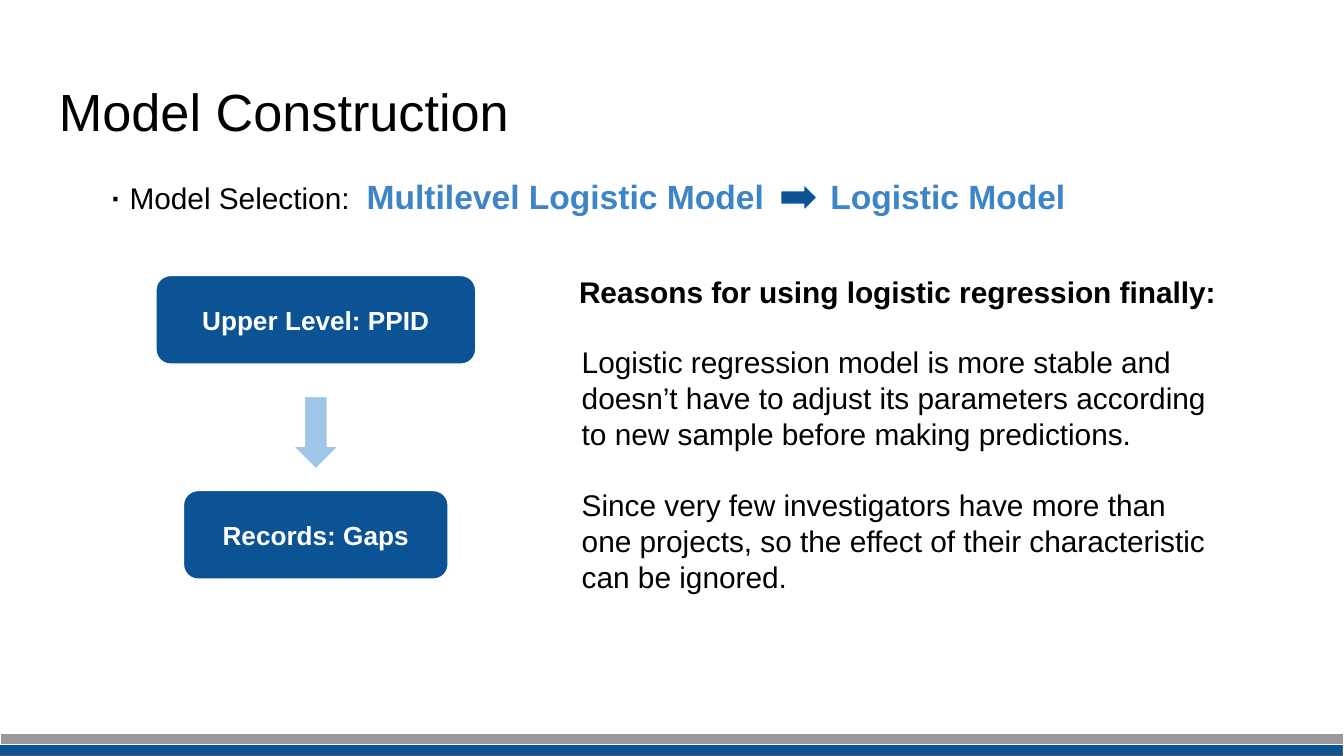
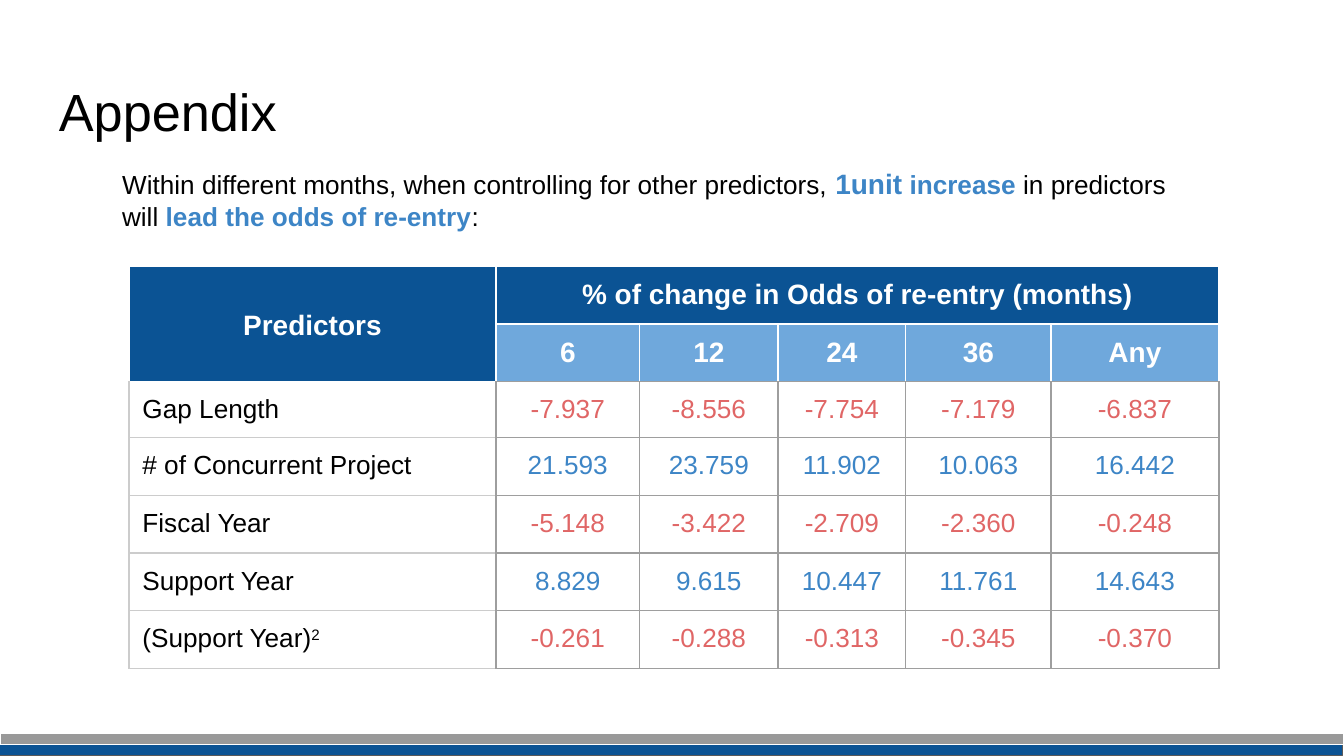
from lxml import etree
from pptx import Presentation
from pptx.dml.color import RGBColor
from pptx.enum.shapes import MSO_SHAPE as SHAPE
from pptx.enum.text import MSO_ANCHOR as ANCHOR, PP_ALIGN as ALIGN
from pptx.oxml.ns import qn
from pptx.util import Inches, Pt

FONT = "Arial"
BLACK, WHITE = "000000", "FFFFFF"
NAVY, BLUE, SKY, PALE = "0B5394", "3D85C6", "6FA8DC", "9FC5E8"
RED, DARK, GRAY, SILVER = "E06666", "595959", "9E9E9E", "CCCCCC"
INSET = 0.1
ACCENT = dict(color=BLUE, bold=True)

# Shared bands: left, top, fill, line
BANDS = [(-0.01, 5.54, NAVY, DARK), (0, 5.46, "999999", WHITE)]

# Model Construction; tabs align the two model names
SELECTION = [
    ("· ", dict(bold=True)),
    ("Model Selection:\t", {}),
    ("Multilevel Logistic Model\tLogistic Model", dict(size=18, **ACCENT)),
]
SELECTION_TABS = [1.9, 5.35]
LEVELS_CENTER = 2.35
LEVELS = [("Upper Level: PPID", 2.05, 2.38), ("Records: Gaps", 3.65, 1.97)]
REASONS_TITLE = "Reasons for using logistic regression finally:"
REASONS = [
    "Logistic regression model is more stable and doesn’t have to adjust its "
    "parameters according to new sample before making predictions.",
    "Since very few investigators have more than one projects, so the effect "
    "of their characteristic can be ignored.",
]

# Appendix
INTRO = [
    ("Within different months, when controlling for other predictors, ", {}),
    ("1unit", dict(size=15, **ACCENT)),
    (" ", {}),
    ("increase", ACCENT),
    (" in predictors will ", {}),
    ("lead the odds of re-entry", ACCENT),
    (":", {}),
]
HEADER = "Predictors"
SPAN_HEADER = "% of change in Odds of re-entry (months)"
MONTHS = ["6", "12", "24", "36", "Any"]
ODDS = [
    ("Gap Length", ["-7.937", "-8.556", "-7.754", "-7.179", "-6.837"]),
    ("# of Concurrent Project", ["21.593", "23.759", "11.902", "10.063", "16.442"]),
    ("Fiscal Year", ["-5.148", "-3.422", "-2.709", "-2.360", "-0.248"]),
    ("Support Year", ["8.829", "9.615", "10.447", "11.761", "14.643"]),
    ([("(Support Year)", {}), ("2", dict(raised=True))],
     ["-0.261", "-0.288", "-0.313", "-0.345", "-0.370"]),
]
COL_WIDTHS = [2.73, 1.07, 1.03, 0.95, 1.08, 1.25]
ROW_HEIGHTS = [0.42, 0.42, 0.39, 0.43, 0.43, 0.43, 0.43]


def rgb(color):
    return RGBColor.from_string(color)


def add_run(p, text, size=14, color=BLACK, bold=False, raised=False):
    r = p.add_run()
    r.text = text
    r.font.name, r.font.size, r.font.bold = FONT, Pt(size), bold
    r.font.color.rgb = rgb(color)
    if raised:
        r._r.get_or_add_rPr().set("baseline", "30000")


def write(tf, paragraphs, align=ALIGN.LEFT, gap=0, **style):
    """Fill a text frame; a paragraph is a string or a list of (text, style)."""
    if isinstance(paragraphs, str):
        paragraphs = [paragraphs]
    for i, runs in enumerate(paragraphs):
        p = tf.add_paragraph() if i else tf.paragraphs[0]
        p.alignment = align
        if i and gap:
            p.space_before = Pt(gap)
        for text, own in [(runs, {})] if isinstance(runs, str) else runs:
            add_run(p, text, **{**style, **own})


def set_insets(box, bottom=INSET):
    box.margin_left = box.margin_right = box.margin_top = Inches(INSET)
    box.margin_bottom = Inches(bottom)


def add_text(s, paragraphs, x, y, w, h, **style):
    tf = s.shapes.add_textbox(*map(Inches, (x, y, w, h))).text_frame
    tf.word_wrap = True
    set_insets(tf)
    write(tf, paragraphs, **style)
    return tf


def add_box(s, kind, x, y, w, h, fill, line=WHITE):
    sp = s.shapes.add_shape(kind, *map(Inches, (x, y, w, h)))
    sp.shadow.inherit = False
    sp.fill.solid()
    sp.fill.fore_color.rgb = rgb(fill)
    sp.line.color.rgb = rgb(line)
    sp.line.width = Pt(0.75)
    return sp


def add_slide(prs, title):
    s = prs.slides.add_slide(prs.slide_layouts[6])
    for x, y, fill, line in BANDS:
        add_box(s, SHAPE.RECTANGLE, x, y, 10, 0.08, fill, line)
    add_text(s, title, 0.34, 0.49, 9.32, 0.63, size=28)
    return s


def set_tabs(p, stops):
    tabs = etree.SubElement(p._p.get_or_add_pPr(), qn("a:tabLst"))
    for x in stops:
        etree.SubElement(tabs, qn("a:tab"), pos=str(Inches(x)), algn="l")


def set_borders(cell, left, right, top, bottom):
    tc_pr = cell._tc.get_or_add_tcPr()
    for side, color in zip("LRTB", (left, right, top, bottom)):
        ln = etree.SubElement(tc_pr, qn("a:ln" + side), w=str(Pt(0.75)))
        fill = etree.SubElement(ln, qn("a:solidFill"))
        etree.SubElement(fill, qn("a:srgbClr"), val=color)


def fill_cell(cell, text, fill, borders, **style):
    set_borders(cell, *borders)
    cell.fill.solid()
    cell.fill.fore_color.rgb = rgb(fill)
    set_insets(cell, bottom=0.08)
    if text:
        write(cell.text_frame, [text], **style)


def add_odds_table(s, x, y):
    size = Inches(sum(COL_WIDTHS)), Inches(sum(ROW_HEIGHTS))
    table = s.shapes.add_table(len(ROW_HEIGHTS), len(COL_WIDTHS),
                               Inches(x), Inches(y), *size).table
    table.first_row = table.horz_banding = False
    for col, w in zip(table.columns, COL_WIDTHS):
        col.width = Inches(w)
    for row, h in zip(table.rows, ROW_HEIGHTS):
        row.height = Inches(h)

    head = dict(size=15, color=WHITE, bold=True, align=ALIGN.CENTER)
    top_row = [HEADER, SPAN_HEADER] + [""] * (len(MONTHS) - 1)
    for c, text in enumerate(top_row):
        fill_cell(table.cell(0, c), text, NAVY, [WHITE] * 4, **head)
    fill_cell(table.cell(1, 0), "", NAVY, [WHITE] * 4)
    for c, month in enumerate(MONTHS, 1):
        fill_cell(table.cell(1, c), month, SKY, (WHITE, WHITE, WHITE, GRAY), **head)
    table.cell(0, 0).merge(table.cell(1, 0))
    table.cell(0, 0).vertical_anchor = ANCHOR.MIDDLE
    table.cell(0, 1).merge(table.cell(0, len(MONTHS)))

    for r, (predictor, changes) in enumerate(ODDS, 2):
        top = WHITE if r == 2 else SILVER
        fill_cell(table.cell(r, 0), predictor, WHITE, (SILVER, GRAY, top, SILVER))
        for c, change in enumerate(changes, 1):
            color = RED if change.startswith("-") else BLUE
            fill_cell(table.cell(r, c), change, WHITE, [GRAY] * 4,
                      color=color, align=ALIGN.CENTER)


def build_model(prs):
    s = add_slide(prs, "Model Construction")
    tf = add_text(s, [SELECTION], 0.73, 1.21, 7.59, 0.47, size=16)
    set_tabs(tf.paragraphs[0], SELECTION_TABS)
    for label, y, w in LEVELS:
        sp = add_box(s, SHAPE.ROUNDED_RECTANGLE, LEVELS_CENTER - w / 2, y, w, 0.66, NAVY)
        set_insets(sp.text_frame)
        sp.text_frame.vertical_anchor = ANCHOR.MIDDLE
        write(sp.text_frame, label, color=WHITE, bold=True, align=ALIGN.CENTER)
    add_box(s, SHAPE.DOWN_ARROW, LEVELS_CENTER - 0.17, 2.95, 0.34, 0.54, PALE)
    add_text(s, REASONS_TITLE, 4.21, 1.94, 5.19, 0.47, size=16, bold=True)
    add_box(s, SHAPE.RIGHT_ARROW, 5.81, 1.37, 0.27, 0.2, NAVY)
    add_text(s, REASONS, 4.23, 2.46, 4.89, 2.09, size=16, gap=19)


def build_appendix(prs):
    s = add_slide(prs, "Appendix")
    tf = add_text(s, [INTRO], 0.56, 1.14, 8.48, 0.44)
    tf.paragraphs[0]._p.get_or_add_pPr().set("marL", str(Inches(0.25)))
    add_odds_table(s, 0.96, 1.98)


def main():
    prs = Presentation()
    prs.slide_width = Inches(10)
    prs.slide_height = prs.slide_width * 9 // 16
    build_model(prs)
    build_appendix(prs)
    prs.save("out.pptx")


if __name__ == "__main__":
    main()
